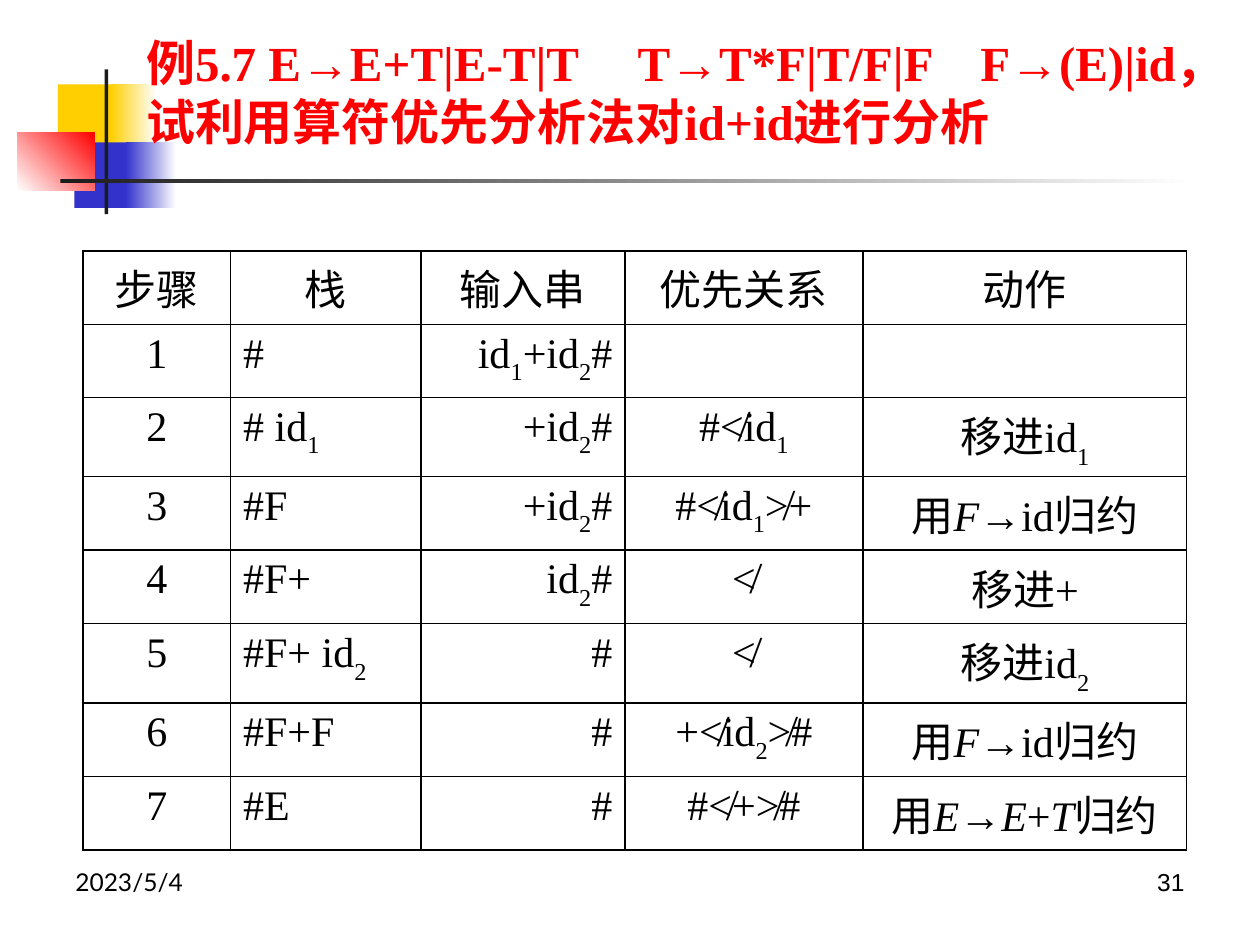
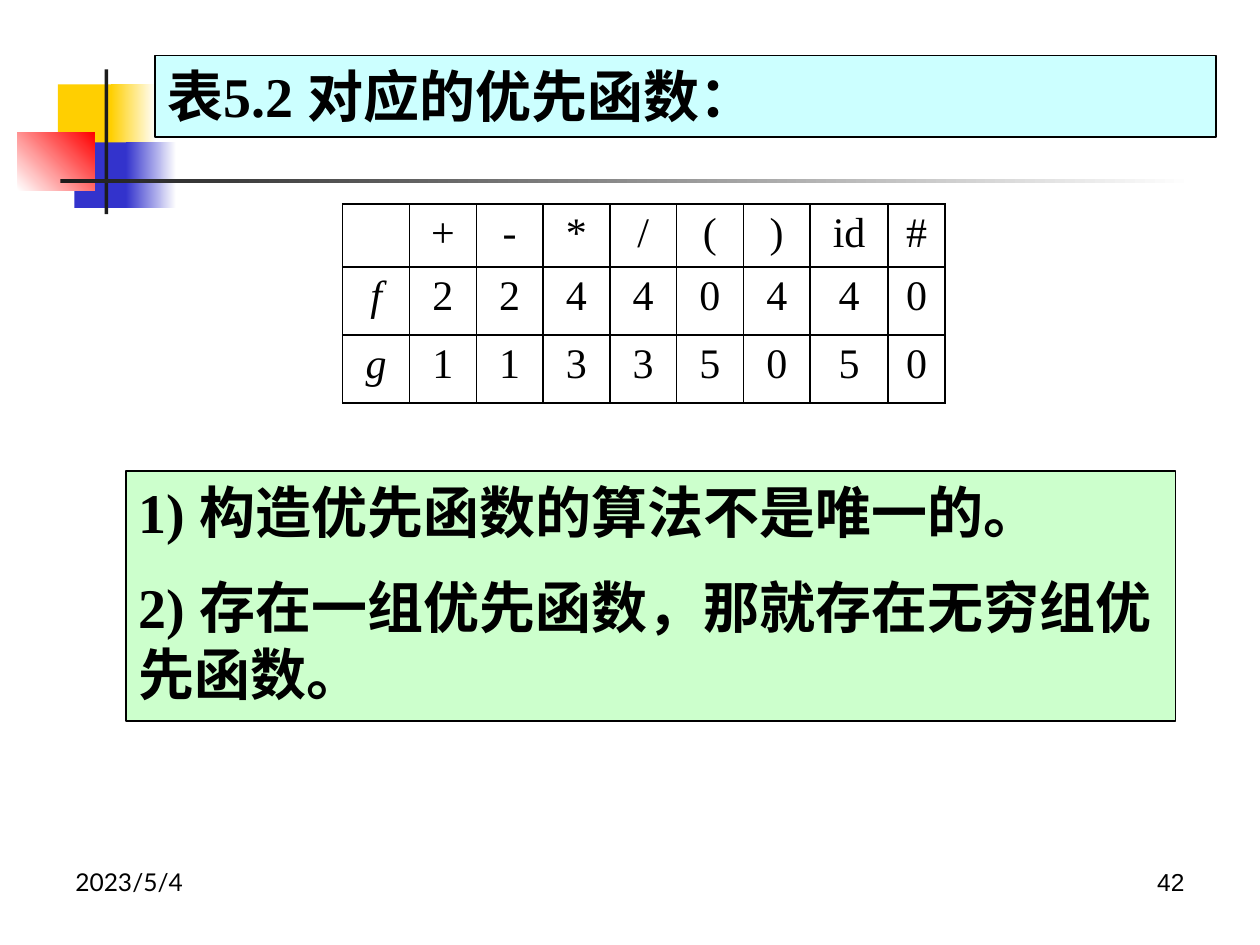
from lxml import etree
from pptx import Presentation
from pptx import util as u
from pptx.dml import color
from pptx.enum import shapes, text
from pptx.oxml import ns

# Shared style
BLACK, WHITE, RED = "000000", "FFFFFF", "FF0000"
YELLOW, BLUE, DARK = "FFCF01", "3333CC", "1C1C1C"
PALE_BLUE, PALE_GREEN = "CCFFFF", "CCFFCC"
SERIF = "Times New Roman"
LEFT, CENTER, RIGHT = text.PP_ALIGN.LEFT, text.PP_ALIGN.CENTER, text.PP_ALIGN.RIGHT

# Corner blocks and rules: box, fill or gradient ends, gradient angle
DECORATION = [
    ((0.46, 0.67, 0.48, 0.52), [YELLOW], 0),
    ((0.88, 0.67, 0.36, 0.52), [YELLOW, WHITE], 0),
    ((0.59, 1.13, 0.46, 0.52), [BLUE], 0),
    ((1, 1.13, 0.4, 0.52), [BLUE, WHITE], 0),
    ((0.14, 1.05, 0.61, 0.46), [WHITE, RED], 45),
    ((0.83, 0.55, 0.03, 1.15), [DARK], 0),
    ((0.48, 1.42, 9, 0.03), [DARK, WHITE], 0),
]

# Runs are plain strings or (string, style) pairs
SUB_1, SUB_2 = ("1", "sub"), ("2", "sub")
E, F, T = ("E", "italic"), ("F", "italic"), ("T", "italic")
REDUCE_TO_F = ["用", F, "→id归约"]
ANALYSIS_STEPS = [
    [["步骤"], ["栈"], ["输入串"], ["优先关系"], ["动作"]],
    [["1"], ["#"], ["id", SUB_1, "+id", SUB_2, "#"], [], []],
    [["2"], ["# id", SUB_1], ["+id", SUB_2, "#"], ["#≮id", SUB_1], ["移进id", SUB_1]],
    [["3"], ["#F"], ["+id", SUB_2, "#"], ["#≮id", SUB_1, "≯+"], REDUCE_TO_F],
    [["4"], ["#F+"], ["id", SUB_2, "#"], ["≮"], ["移进+"]],
    [["5"], ["#F+ id", SUB_2], ["#"], ["≮"], ["移进id", SUB_2]],
    [["6"], ["#F+F"], ["#"], ["+≮id", SUB_2, "≯#"], REDUCE_TO_F],
    [["7"], ["#E"], ["#"], ["#≮+≯#"], ["用", E, "→", E, "+", T, "归约"]],
]
PRECEDENCE_FUNCTIONS = [
    [[], ["+"], ["-"], ["*"], ["/"], ["("], [")"], ["id"], ["#"]],
    [[("f", "italic")]] + [[value] for value in "22440440"],
    [[("g", "italic")]] + [[value] for value in "11335050"],
]


def rgb(value):
    return color.RGBColor.from_string(value)


def inches(box):
    return [u.Inches(length) for length in box]


def place(shape, box):
    shape.left, shape.top, shape.width, shape.height = inches(box)


def paint(shape, fill, line=BLACK):
    shape.fill.solid()
    shape.fill.fore_color.rgb = rgb(fill)
    shape.line.color.rgb = rgb(line)
    shape.line.width = u.Pt(1)


def add_runs(paragraph, runs, size, font=SERIF, colour=BLACK, bold=False, align=LEFT):
    paragraph.alignment = align
    for item in runs:
        words, style = (item, None) if isinstance(item, str) else item
        run = paragraph.add_run()
        run.text = words
        run.font.size, run.font.name = u.Pt(size), font
        run.font.bold, run.font.italic = bold, style == "italic"
        run.font.color.rgb = rgb(colour)
        if style == "sub":
            run._r.get_or_add_rPr().set("baseline", "-30000")


def write_lines(shape, lines, size, space_before=0, **style):
    frame = shape.text_frame
    frame.word_wrap = True
    frame.auto_size = text.MSO_AUTO_SIZE.NONE
    frame.vertical_anchor = text.MSO_ANCHOR.TOP
    for index, line in enumerate(lines):
        paragraph = frame.add_paragraph() if index else frame.paragraphs[0]
        paragraph.space_before = u.Pt(space_before if index else 0)
        add_runs(paragraph, [line], size, **style)


def set_tab_stops(paragraph, positions):
    tabs = etree.SubElement(paragraph._p.get_or_add_pPr(), ns.qn("a:tabLst"))
    for position in positions:
        etree.SubElement(tabs, ns.qn("a:tab"), pos=str(u.Inches(position)), algn="l")


def decorate_layout(layout, slide):
    """Draw the blocks once, then move them to the layout all slides share."""
    for number, (box, colours, angle) in enumerate(DECORATION, start=100):
        shape = slide.shapes.add_shape(shapes.MSO_SHAPE.RECTANGLE, *inches(box))
        shape.shadow.inherit = False
        shape.line.fill.background()
        if len(colours) == 1:
            shape.fill.solid()
            shape.fill.fore_color.rgb = rgb(colours[0])
        else:
            shape.fill.gradient()
            shape.fill.gradient_angle = angle
            for position, (stop, colour) in enumerate(zip(shape.fill.gradient_stops, colours)):
                stop.position = position
                stop.color.rgb = rgb(colour)
        shape.element.nvSpPr.cNvPr.set("id", str(number))
        layout.shapes.element.append(shape.element)


def add_title(slide, box, lines, size, colour):
    title = slide.shapes.title
    place(title, box)
    write_lines(title, lines, size, colour=colour, bold=True)
    return title


def add_footer(slide, page):
    for left, words, font, align in ((0.5, "2023/5/4", "Lato", LEFT), (7.17, page, "Arial", RIGHT)):
        box = slide.shapes.add_textbox(*inches((left, 6.83, 2.33, 0.52)))
        write_lines(box, [words], 14, font=font, align=align)


def add_note_box(slide, box, lines, fill):
    note = slide.shapes.add_shape(shapes.MSO_SHAPE.RECTANGLE, *inches(box))
    note.shadow.inherit = False
    paint(note, fill)
    write_lines(note, lines, 32, space_before=16, bold=True)


def add_cell_borders(cell):
    properties = cell._tc.get_or_add_tcPr()
    for index, side in enumerate(("a:lnL", "a:lnR", "a:lnT", "a:lnB")):
        line = etree.Element(ns.qn(side), w=str(u.Pt(1)))
        fill = etree.SubElement(line, ns.qn("a:solidFill"))
        etree.SubElement(fill, ns.qn("a:srgbClr"), val=BLACK)
        properties.insert(index, line)


def add_grid(slide, left, top, widths, heights, rows, alignments):
    box = (left, top, sum(widths), sum(heights))
    table = slide.shapes.add_table(len(rows), len(widths), *inches(box)).table
    table.first_row = table.horz_banding = False
    for column, width in zip(table.columns, widths):
        column.width = u.Inches(width)
    for row, height in zip(table.rows, heights):
        row.height = u.Inches(height)
    for row_index, row in enumerate(rows):
        for column_index, runs in enumerate(row):
            cell = table.cell(row_index, column_index)
            cell.fill.background()
            add_cell_borders(cell)
            align = alignments[column_index] if row_index else CENTER
            add_runs(cell.text_frame.paragraphs[0], runs, 24, align=align)


def build_analysis_slide(slide):
    title = add_title(slide, (1.06, 0.21, 8.94, 1.03), [
        "例5.7 E→E+T|E-T|T\tT→T*F|T/F|F\tF→(E)|id，",
        "试利用算符优先分析法对id+id进行分析"], 28, RED)
    set_tab_stops(title.text_frame.paragraphs[0], (3.9, 6.62))
    add_grid(slide, 0.66, 1.99, [1.17, 1.51, 1.62, 1.89, 2.57], [0.58] * 8,
             ANALYSIS_STEPS, [CENTER, LEFT, RIGHT, CENTER, CENTER])
    add_footer(slide, "31")


def build_functions_slide(slide):
    title = add_title(slide, (1.23, 0.44, 8.42, 0.65), ["表5.2 对应的优先函数："], 32, BLACK)
    paint(title, PALE_BLUE)
    add_note_box(slide, (1, 3.74, 8.33, 1.98), [
        "1) 构造优先函数的算法不是唯一的。",
        "2) 存在一组优先函数，那就存在无穷组优先函数。"], PALE_GREEN)
    add_grid(slide, 2.72, 1.62, [0.53] * 7 + [0.62, 0.45], [0.5, 0.54, 0.54],
             PRECEDENCE_FUNCTIONS, [CENTER] * 9)
    add_footer(slide, "42")


def main():
    presentation = Presentation()
    presentation.slide_width, presentation.slide_height = u.Inches(10), u.Inches(7.5)
    layout = presentation.slide_layouts.get_by_name("Title Only")
    analysis, functions = (presentation.slides.add_slide(layout) for _ in range(2))
    decorate_layout(layout, analysis)
    build_analysis_slide(analysis)
    build_functions_slide(functions)
    presentation.save("out.pptx")


if __name__ == "__main__":
    main()
